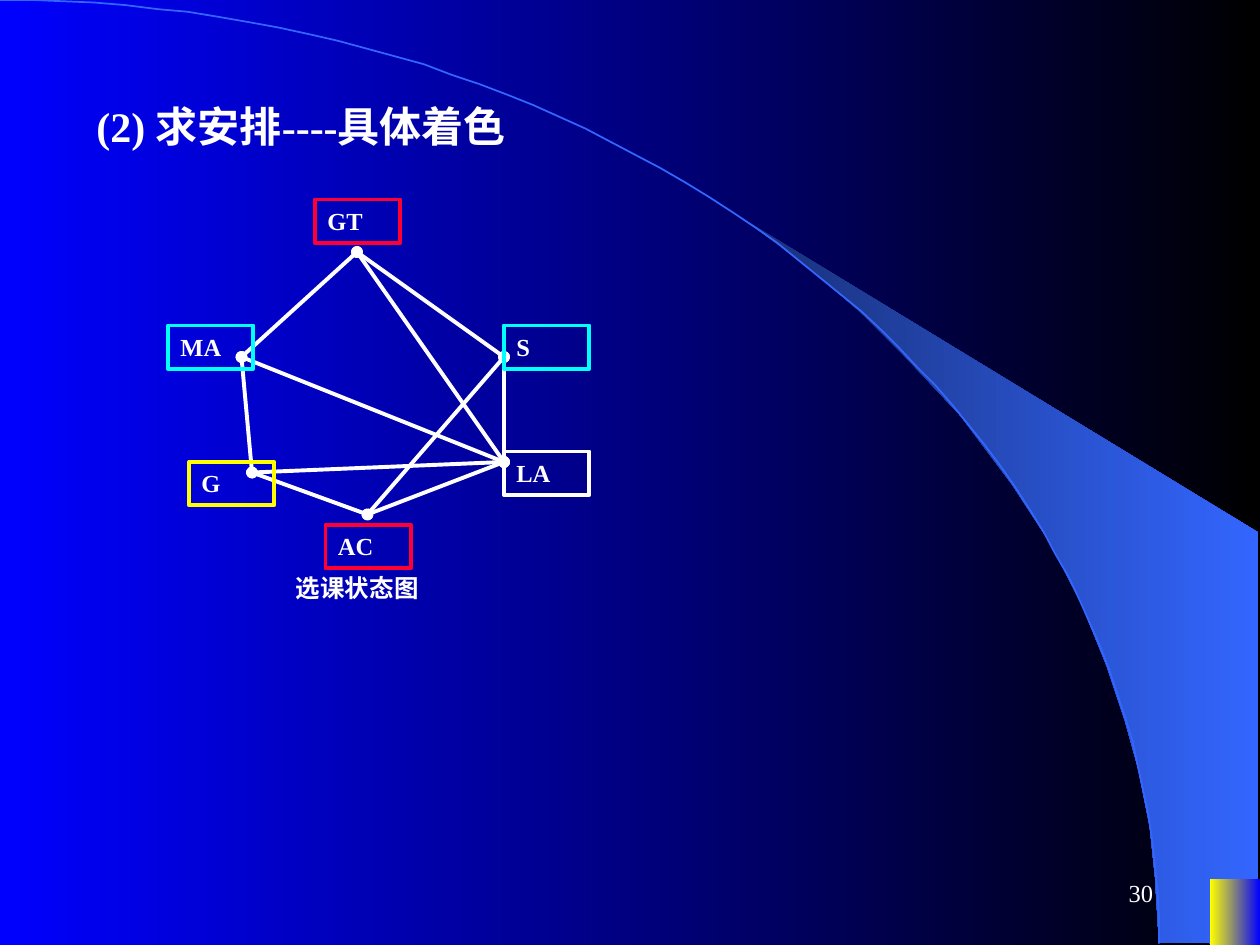
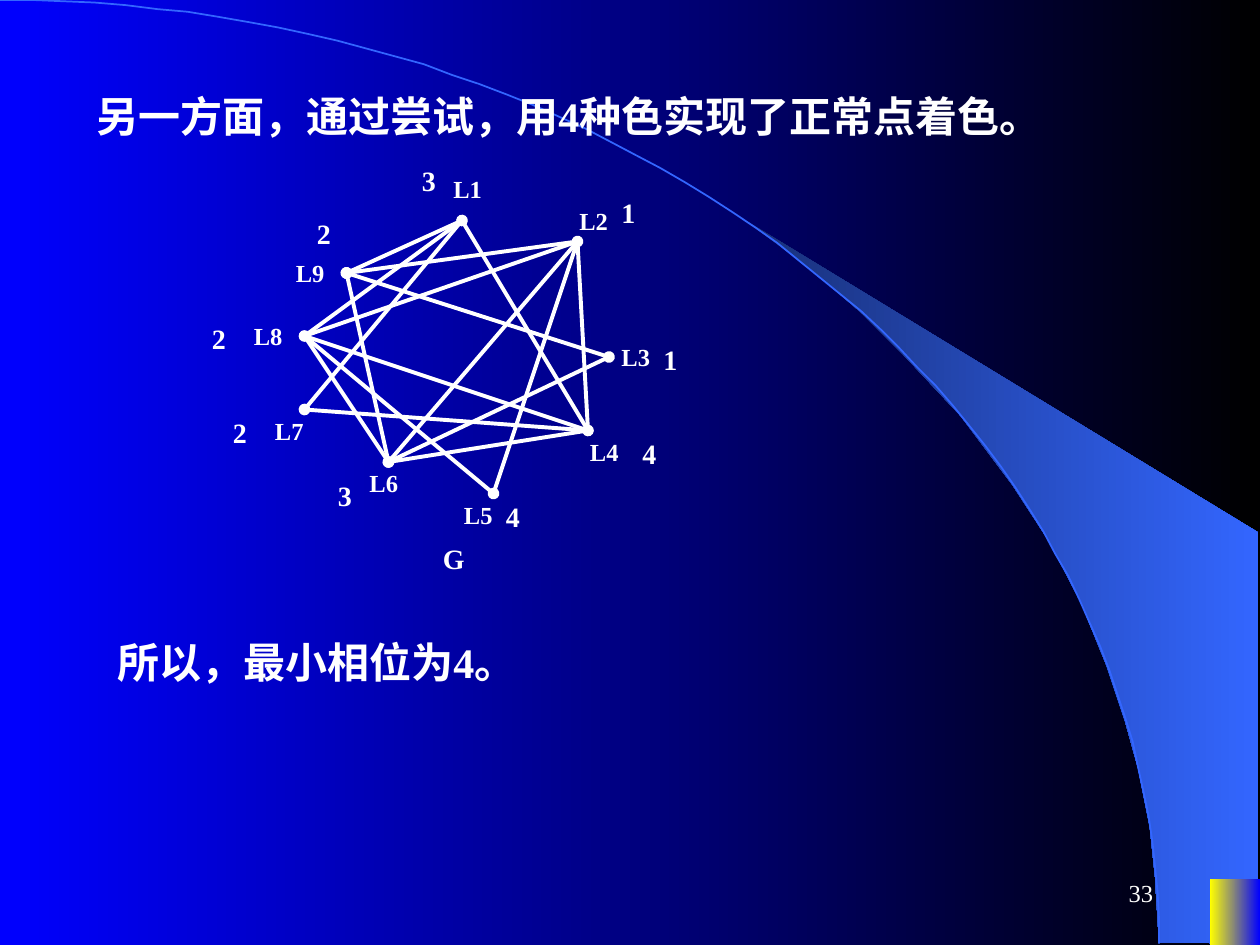
"""Build two dark-blue slides that show vertex colourings of graphs."""
from dataclasses import dataclass

from lxml.etree import SubElement
from pptx import Presentation
from pptx.dml.color import RGBColor
from pptx.enum.shapes import MSO_CONNECTOR, MSO_SHAPE
from pptx.enum.text import MSO_ANCHOR, PP_ALIGN
from pptx.oxml.ns import qn
from pptx.util import Pt


@dataclass(frozen=True)
class Theme:
    font: str = "Times New Roman"
    white: str = "FFFFFF"
    black: str = "000000"
    blue: str = "0000FF"
    navy: str = "182F76"
    azure: str = "3366FF"
    red: str = "FF0033"
    cyan: str = "00FFFF"
    yellow: str = "FFFF00"
    title: int = 24
    mark: int = 16
    label: int = 14
    edge: float = 2.25


T = Theme()
PX = 9525


def add_text(s, text, x, y, w, h, size=T.label, bold=True, align=PP_ALIGN.LEFT,
             anchor=MSO_ANCHOR.TOP, frame=None):
    """Add text, inside a coloured frame if one is given."""
    box = [v * PX for v in (x, y, w, h)]
    if frame:
        sp = s.shapes.add_shape(MSO_SHAPE.RECTANGLE, *box)
        sp.shadow.inherit = False
        sp.fill.background()
        sp.line.color.rgb = RGBColor.from_string(frame)
        sp.line.width = Pt(T.edge)
    else:
        sp = s.shapes.add_textbox(*box)
    tf = sp.text_frame
    tf.word_wrap = True
    tf.vertical_anchor = anchor
    p = tf.paragraphs[0]
    p.alignment = align
    r = p.add_run()
    r.text = text
    r.font.name = T.font
    r.font.size = Pt(size)
    r.font.bold = bold
    r.font.color.rgb = RGBColor.from_string(T.white)


def set_gradient(fill, start, end):
    """Fill from left to right with two colours."""
    fill.gradient()
    fill.gradient_angle = 0
    for stop, position, color in zip(fill.gradient_stops, (0, 1), (start, end)):
        stop.position = position
        stop.color.rgb = RGBColor.from_string(color)


wedge = [(883, 718), (959, 719), (959, 406), (565, 166), (599, 191), (627, 213),
         (658, 240), (687, 269), (732, 317), (771, 369), (799, 412), (824, 460),
         (843, 507), (857, 549), (867, 585), (876, 630), (880, 668)]
steps = [i / 60 for i in range(61)]
arc = [(3 * t * (1 - t) ** 2 * 488 + 3 * t ** 2 * (1 - t) * 883 + t ** 3 * 883,
        3 * t ** 2 * (1 - t) * 322 + t ** 3 * 719) for t in steps]

courses = {"GT": (272, 192), "MA": (184, 272), "S": (384, 272),
           "G": (192, 360), "LA": (384, 352), "AC": (280, 392)}
course_edges = ["GT MA", "GT S", "MA G", "S LA", "G AC", "LA AC",
                "GT LA", "MA LA", "G LA", "S AC"]
course_frames = [("GT", 240, 152, T.red), ("MA", 128, 248, T.cyan),
                 ("G", 144, 352, T.yellow), ("AC", 248, 400, T.red),
                 ("LA", 384, 344, T.white), ("S", 384, 248, T.cyan)]

lanes = {"L1": (352, 168), "L2": (440, 184), "L3": (464, 272),
         "L4": (448, 328), "L5": (376, 376), "L6": (296, 352),
         "L7": (232, 312), "L8": (232, 256), "L9": (264, 208)}
lane_edges = ["L1 L9", "L9 L6", "L6 L8", "L9 L3", "L7 L4", "L2 L5"]
plain_lane_edges = ["L1 L8", "L1 L7", "L1 L4", "L9 L2", "L2 L8", "L2 L6",
                    "L2 L4", "L3 L6", "L8 L4", "L4 L6", "L8 L5"]
lane_labels = [("L1", 336, 128, "3", 312, 120), ("L2", 432, 152, "1", 464, 144),
               ("L3", 464, 256, "1", 496, 256), ("L4", 440, 328, "4", 480, 328),
               ("L5", 344, 376, "4", 376, 376), ("L6", 272, 352, "3", 248, 360),
               ("L7", 200, 312, "2", 168, 312), ("L8", 184, 240, "2", 152, 240),
               ("L9", 216, 192, "2", 232, 160)]

prs = Presentation()
prs.slide_width, prs.slide_height = 960 * PX, 720 * PX
slides = []
for number, nodes, dotted, plain in (("30", courses, course_edges, []),
                                     ("33", lanes, lane_edges, plain_lane_edges)):
    s = prs.slides.add_slide(prs.slide_layouts[6])
    slides.append(s)
    set_gradient(s.background.fill, T.blue, T.black)

    for points, closed in ((wedge, True), (arc, False)):
        builder = s.shapes.build_freeform(*points[0], scale=PX)
        builder.add_line_segments(points[1:], close=closed)
        sp = builder.convert_to_shape()
        sp.shadow.inherit = False
        if closed:
            set_gradient(sp.fill, T.navy, T.azure)
            sp.line.fill.background()
        else:
            sp.fill.background()
            sp.line.color.rgb = RGBColor.from_string(T.azure)
            sp.line.width = Pt(1)

    corner = s.shapes.add_shape(MSO_SHAPE.RECTANGLE,
                                *[v * PX for v in (922, 670, 38, 50)])
    corner.shadow.inherit = False
    set_gradient(corner.fill, T.yellow, T.blue)
    corner.line.fill.background()
    add_text(s, number, 688, 656, 200, 48, bold=False,
             align=PP_ALIGN.RIGHT, anchor=MSO_ANCHOR.MIDDLE)

    for edge in dotted + plain:
        start, end = edge.split()
        line = s.shapes.add_connector(
            MSO_CONNECTOR.STRAIGHT, *[v * PX for v in nodes[start] + nodes[end]])
        line.line.color.rgb = RGBColor.from_string(T.white)
        line.line.width = Pt(T.edge)
        if edge in dotted:
            for tag in ("a:headEnd", "a:tailEnd"):
                SubElement(line.line._get_or_add_ln(), qn(tag), type="oval")
        SubElement(line._element.spPr, qn("a:effectLst"))

course_slide, lane_slide = slides

add_text(course_slide, "(2) 求安排----具体着色", 64, 72, 776, 48, size=T.title)
for name, x, y, color in course_frames:
    add_text(course_slide, name, x, y, 65, 33, frame=color)
add_text(course_slide, "选课状态图", 216, 432, 152, 33)

add_text(lane_slide, "另一方面，通过尝试，用4种色实现了正常点着色。",
         64, 64, 816, 48, size=T.title)
add_text(lane_slide, "所以，最小相位为4。", 80, 480, 816, 48, size=T.title)
for name, x, y, phase, phase_x, phase_y in lane_labels:
    add_text(lane_slide, name, x, y, 50, 33)
    add_text(lane_slide, phase, phase_x, phase_y, 41, 36, size=T.mark)
add_text(lane_slide, "G", 328, 408, 74, 36, size=T.mark)

prs.save("out.pptx")
